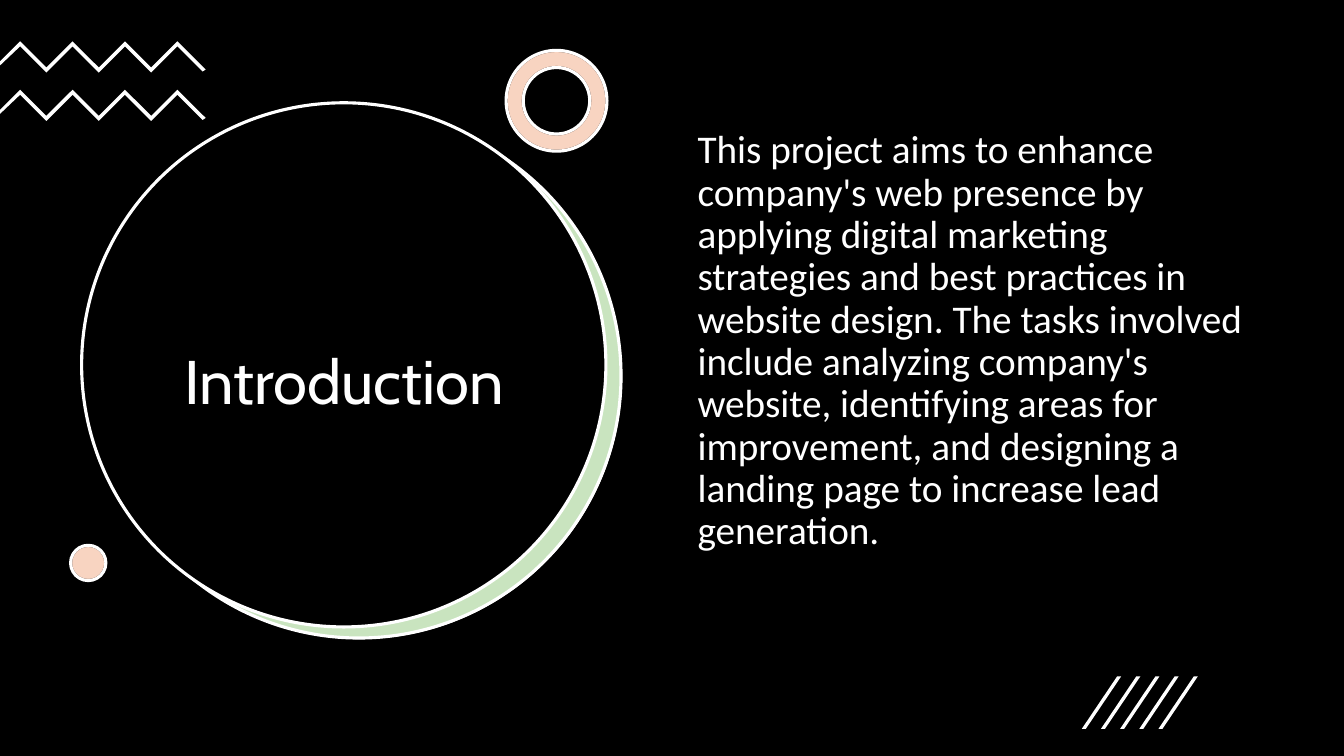
import dataclasses

import lxml.etree
import pptx
import pptx.dml.color
import pptx.enum.shapes
import pptx.enum.text
import pptx.oxml.ns
import pptx.util

PX = 9144
SLIDE_WIDTH, SLIDE_HEIGHT = 1333, 750
SHAPE = pptx.enum.shapes.MSO_SHAPE
ALIGN = pptx.enum.text.PP_ALIGN
ANCHOR = pptx.enum.text.MSO_ANCHOR


@dataclasses.dataclass(frozen=True)
class Theme:
    """Colours, fonts and type sizes of the slide."""
    ground: str = "000000"
    ink: str = "FFFFFF"
    green: str = "4EA72E"
    orange: str = "E97132"
    tint: int = 30
    outline: float = 2.25
    title_font: str = "Cabin"
    title_size: int = 44
    body_font: str = "Calibri"
    body_size: int = 28
    leading: float = 0.9


@dataclasses.dataclass(frozen=True)
class Box:
    """A region of the slide in px."""
    left: int
    top: int
    width: int
    height: int

    def inner(self, left, top, width, height):
        """Return a box placed relative to this one."""
        return Box(self.left + left, self.top + top, width, height)

    def emu(self):
        """Return left, top, width and height in EMU."""
        return [side * PX for side in dataclasses.astuple(self)]


THEME = Theme()


def rgb(colour):
    """Return a colour object for a hex string."""
    return pptx.dml.color.RGBColor.from_string(colour)


def paint(shape, fill, line=None, opacity=100):
    """Set fill, outline and opacity, and drop the shadow."""
    shape.shadow.inherit = False
    shape.fill.solid()
    shape.fill.fore_color.rgb = rgb(fill)
    if opacity < 100:
        qn = pptx.oxml.ns.qn
        solid = shape.element.spPr.find(qn("a:solidFill"))
        colour = solid.find(qn("a:srgbClr"))
        lxml.etree.SubElement(colour, qn("a:alpha")).set("val", str(opacity * 1000))
    if line:
        shape.line.color.rgb = rgb(line)
        shape.line.width = pptx.util.Pt(THEME.outline)
    else:
        shape.line.fill.background()


def add_preset(slide, preset, box, fill, line=None, opacity=100):
    """Add a painted preset shape and return it."""
    shape = slide.shapes.add_shape(preset, *box.emu())
    paint(shape, fill, line, opacity)
    return shape


def add_outline(group, box, points):
    """Add a closed ink polygon whose points are relative to the box."""
    first, *rest = [(box.left + x, box.top + y) for x, y in points]
    builder = group.shapes.build_freeform(*first, scale=PX)
    builder.add_line_segments(rest, close=True)
    paint(builder.convert_to_shape(), THEME.ink)


def add_text(slide, box, text, *, font, size, align=ALIGN.LEFT,
             anchor=ANCHOR.TOP, before=0):
    """Add a wrapped one-paragraph text in the given format."""
    frame = slide.shapes.add_textbox(*box.emu()).text_frame
    frame.word_wrap = True
    frame.vertical_anchor = anchor
    paragraph = frame.paragraphs[0]
    paragraph.alignment = align
    paragraph.line_spacing = THEME.leading
    paragraph.space_before = pptx.util.Pt(before)
    run = paragraph.add_run()
    run.text = text
    run.font.name = font
    run.font.size = pptx.util.Pt(size)
    run.font.color.rgb = rgb(THEME.ink)


def add_title_disc(slide, box, title):
    """Draw the disc with its green crescent and the title inside."""
    diameter = 520
    add_preset(slide, SHAPE.OVAL, box.inner(16, 12, diameter, diameter), THEME.ink)
    add_preset(slide, SHAPE.OVAL, box.inner(15, 11, diameter, diameter),
               THEME.green, THEME.ink, THEME.tint)
    add_preset(slide, SHAPE.OVAL, box.inner(0, 0, diameter, diameter),
               THEME.ground, THEME.ink)
    add_text(slide, box.inner(40, 103, 441, 352), title, font=THEME.title_font,
             size=THEME.title_size, align=ALIGN.CENTER, anchor=ANCHOR.MIDDLE)


def add_zigzags(slide, box):
    """Draw two zigzag bands that run in from the left edge."""
    step, thickness, pitch = 26, 5, 48
    crest = [(20 + step * turn, step * (turn % 2)) for turn in range(7)]
    underside = [(x, y + thickness) for x, y in reversed(crest)]
    band = crest + [(204, 28), (201, 30)] + underside + [(0, 24), (0, 20)]
    zigzags = slide.shapes.add_group_shape()
    for row in range(2):
        add_outline(zigzags, box.inner(0, pitch * row, box.width, 31), band)


def add_accent(slide, box, preset, hole=None):
    """Draw a pale orange accent over an ink backing."""
    backing = add_preset(slide, preset, box, THEME.ink, THEME.ground)
    accent = add_preset(slide, preset, box, THEME.orange, THEME.ink, THEME.tint)
    if hole is not None:
        for ring in (backing, accent):
            ring.adjustments[0] = hole


def add_slashes(slide, box):
    """Draw five slanted strokes at equal gaps."""
    count, stroke, slant = 5, 4, 35
    pitch = (box.width - stroke - slant) / (count - 1)
    slashes = slide.shapes.add_group_shape()
    for index in range(count):
        x = round(pitch * index)
        add_outline(slashes, box, [(x + stroke, box.height), (x, box.height),
                                   (x + slant, 0), (x + slant + stroke, 0)])


def add_introduction(slide, box):
    """Lay out the introduction slide in the given box."""
    add_preset(slide, SHAPE.RECTANGLE, box, THEME.ground)
    add_title_disc(slide, box.inner(81, 102, 535, 531), "Introduction")
    add_zigzags(slide, box.inner(0, 41, 204, 79))
    add_accent(slide, box.inner(502, 50, 100, 100), SHAPE.DONUT, hole=0.17)
    add_accent(slide, box.inner(70, 541, 35, 35), SHAPE.OVAL)
    add_text(
        slide, box.inner(682, 124, 571, 476),
        "This project aims to enhance company's web presence by applying "
        "digital marketing strategies and best practices in website design. "
        "The tasks involved include analyzing company's website, identifying "
        "areas for improvement, and designing a landing page to increase "
        "lead generation.",
        font=THEME.body_font, size=THEME.body_size, before=10)
    add_slashes(slide, box.inner(1073, 671, 115, 52))


def main():
    """Build and save the presentation."""
    deck = pptx.Presentation()
    deck.slide_width = SLIDE_WIDTH * PX
    deck.slide_height = SLIDE_HEIGHT * PX
    slide = deck.slides.add_slide(deck.slide_layouts[6])
    add_introduction(slide, Box(0, 0, SLIDE_WIDTH, SLIDE_HEIGHT))
    deck.save("out.pptx")


if __name__ == "__main__":
    main()
